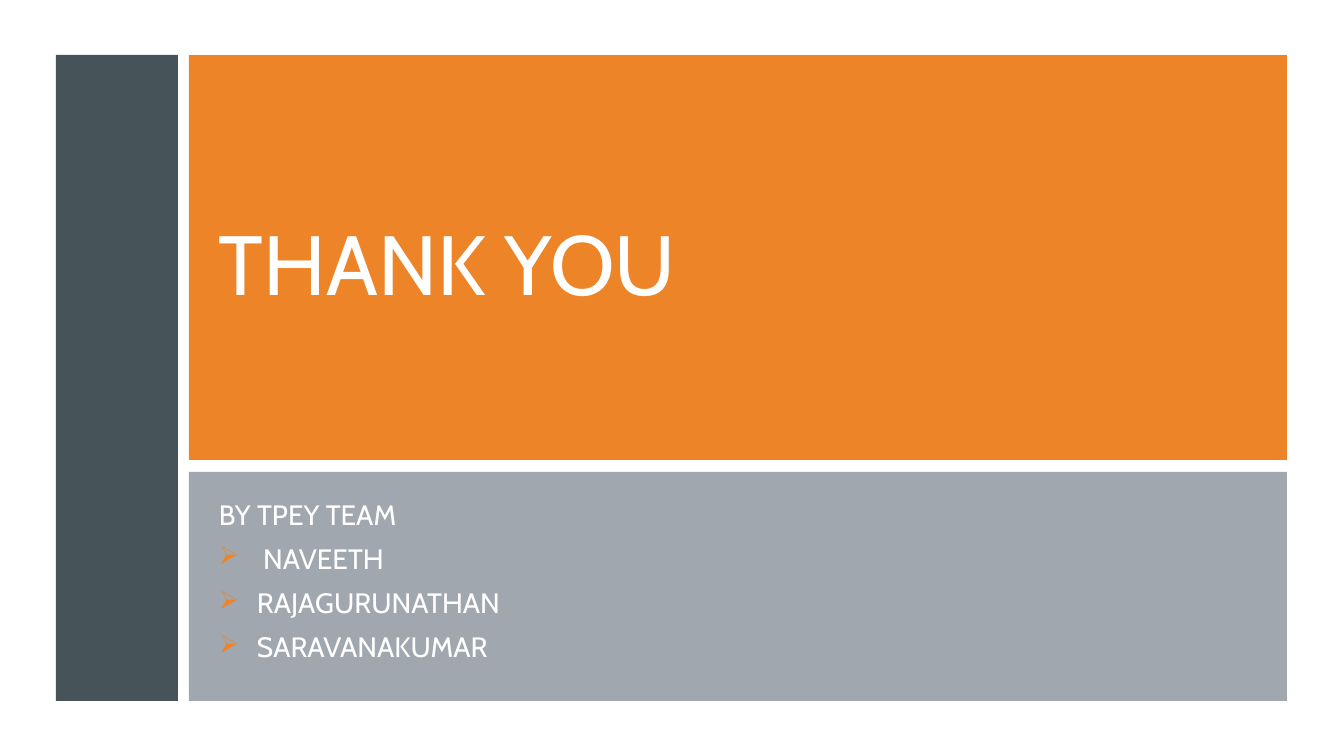
from lxml.etree import SubElement
from pptx import Presentation
from pptx.dml.color import RGBColor
from pptx.enum.shapes import MSO_SHAPE
from pptx.enum.text import MSO_ANCHOR
from pptx.oxml.ns import qn
from pptx.util import Emu, Pt

SCALE = 914400 / 100.8
COLOURS = {"white": "FFFFFF", "slate": "465359", "orange": "ED8428", "grey": "89929B"}
TITLE_FONT = {"name": "Cabin", "size": Pt(60)}
TEAM_FONT = {"name": "Cabin", "size": Pt(20)}
TEAM_SPACING = {"line_spacing": 0.9, "space_before": Pt(4), "space_after": Pt(6)}
MEMBERS = [" NAVEETH", "RAJAGURUNATHAN", "SARAVANAKUMAR"]
MEMBER_INDENT = 38


def px(length):
    """Turn pixels into EMU."""
    return Emu(round(length * SCALE))


def apply_format(target, values):
    """Set each attribute named in a dict of format values."""
    for name, value in values.items():
        setattr(target, name, value)


def add_panel(page, place, colour, opacity=100):
    """Add a plain filled rectangle."""
    panel = page.shapes.add_shape(MSO_SHAPE.RECTANGLE, *map(px, place))
    panel.shadow.inherit = False
    panel.line.fill.background()
    panel.fill.solid()
    panel.fill.fore_color.rgb = RGBColor.from_string(COLOURS[colour])
    if opacity < 100:
        shade = panel.fill._xPr.find(qn("a:solidFill"))[0]
        SubElement(shade, qn("a:alpha"), val=str(opacity * 1000))


def add_bullet(para):
    """Give a paragraph a hanging orange arrow bullet."""
    properties = para._p.get_or_add_pPr()
    properties.set("marL", str(px(MEMBER_INDENT)))
    properties.set("indent", str(-px(MEMBER_INDENT)))
    tint = SubElement(properties, qn("a:buClr"))
    SubElement(tint, qn("a:srgbClr"), val=COLOURS["orange"])
    SubElement(properties, qn("a:buSzPct"), val="92000")
    SubElement(properties, qn("a:buChar"), char="➢")


def add_text(page, place, lines, font, spacing, anchor):
    """Add a white text box and return its paragraphs."""
    box = page.shapes.add_textbox(*map(px, place))
    frame = box.text_frame
    apply_format(frame, {"word_wrap": True, "vertical_anchor": anchor})
    frame.text = "\n".join(lines)
    for para in frame.paragraphs:
        apply_format(para, spacing)
        for span in para.runs:
            apply_format(span.font, font)
            span.font.color.rgb = RGBColor.from_string(COLOURS["white"])
    return frame.paragraphs


def main():
    """Build the closing slide and save it."""
    deck = Presentation()
    apply_format(deck, {"slide_width": px(1344), "slide_height": px(756)})
    page = deck.slides.add_slide(deck.slide_layouts[6])
    add_panel(page, (0, 0, 1344, 756), "white")
    add_panel(page, (56, 55, 122, 646), "slate")
    add_panel(page, (189, 55, 1098, 405), "orange")
    add_text(page, (209, 78, 835, 367), ["THANK YOU"], TITLE_FONT, {}, MSO_ANCHOR.MIDDLE)
    add_panel(page, (189, 472, 1098, 229), "grey", opacity=80)
    team = add_text(page, (209, 496, 835, 180), ["BY TPEY TEAM", *MEMBERS],
                    TEAM_FONT, TEAM_SPACING, MSO_ANCHOR.TOP)
    for member in team[1:]:
        add_bullet(member)
    deck.save("out.pptx")


if __name__ == "__main__":
    main()
